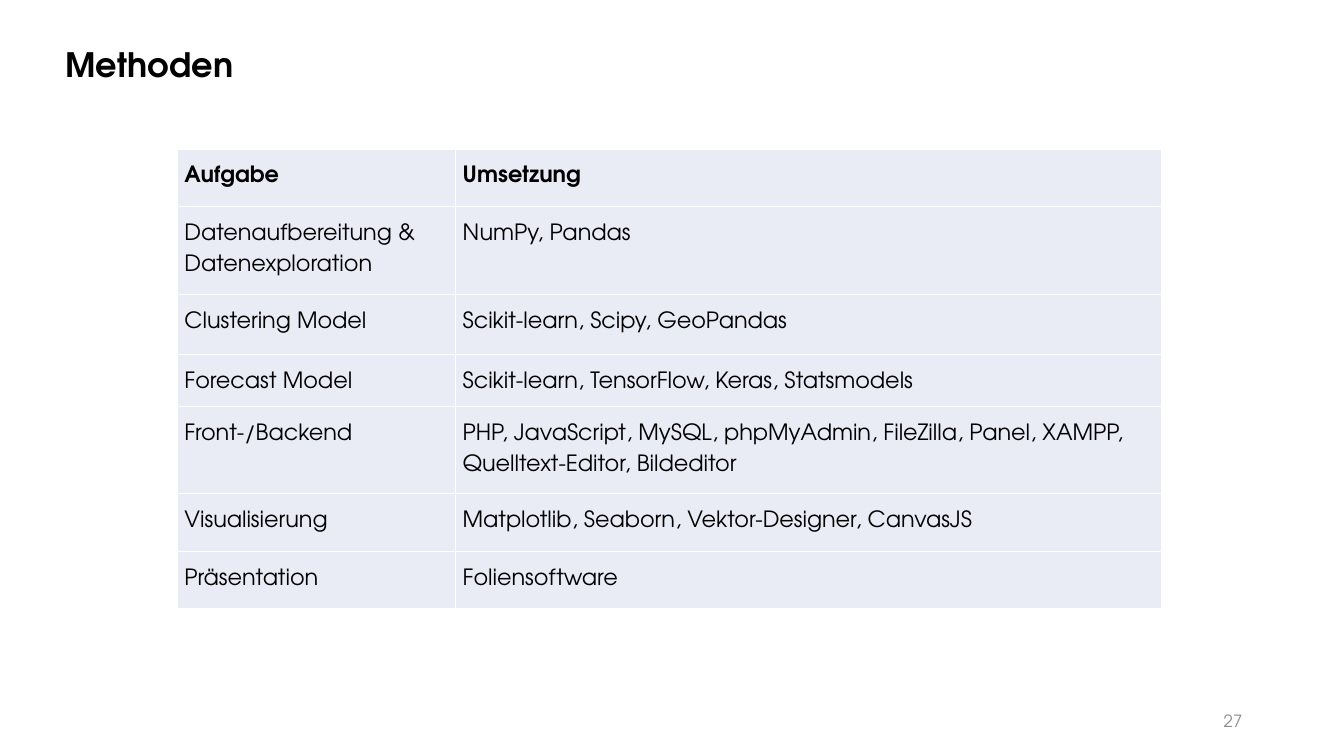
from dataclasses import dataclass

from lxml.etree import SubElement
from pptx import Presentation
from pptx.dml.color import RGBColor
from pptx.enum.text import MSO_ANCHOR, PP_ALIGN
from pptx.oxml.ns import qn
from pptx.slide import Slide
from pptx.table import _Cell
from pptx.text.text import TextFrame
from pptx.util import Emu, Inches, Pt

FONT_NAME = "TeX Gyre Adventor"
BLACK = RGBColor(0x00, 0x00, 0x00)
GREY = RGBColor(0x8C, 0x8C, 0x8C)
WHITE = RGBColor(0xFF, 0xFF, 0xFF)
PALE_BLUE = RGBColor(0xE9, 0xEB, 0xF5)

SLIDE_WIDTH = Inches(13.33)
SLIDE_HEIGHT = Inches(7.5)
COLUMN_WIDTHS = (Inches(2.76), Inches(7))
CELL_MARGIN = Inches(0.07)


@dataclass(frozen=True)
class TextStyle:
    """Look of a paragraph with a single run."""

    size: float
    color: RGBColor = BLACK
    bold: bool = False
    alignment: PP_ALIGN = PP_ALIGN.LEFT
    line_spacing: float = 1.0
    space_after: float = 0


@dataclass(frozen=True)
class MethodRow:
    """Task, the tools used for it, and the row height in inches."""

    task: str
    tools: str
    height: float


TITLE_STYLE = TextStyle(24, bold=True, line_spacing=0.9)
NUMBER_STYLE = TextStyle(12, GREY, alignment=PP_ALIGN.RIGHT, space_after=6)
HEADER_STYLE = TextStyle(16, bold=True, line_spacing=1.5, space_after=8)
BODY_STYLE = TextStyle(16, line_spacing=1.5, space_after=8)

METHOD_ROWS = (
    MethodRow("Aufgabe", "Umsetzung", 0.57),
    MethodRow("Datenaufbereitung & Datenexploration", "NumPy, Pandas", 0.87),
    MethodRow("Clustering Model", "Scikit-learn, Scipy, GeoPandas", 0.6),
    MethodRow("Forecast Model", "Scikit-learn, TensorFlow, Keras, Statsmodels", 0.51),
    MethodRow(
        "Front-/Backend",
        "PHP, JavaScript, MySQL, phpMyAdmin, FileZilla, Panel, XAMPP, "
        "Quelltext-Editor, Bildeditor",
        0.87,
    ),
    MethodRow("Visualisierung", "Matplotlib, Seaborn, Vektor-Designer, CanvasJS", 0.57),
    MethodRow("Präsentation", "Foliensoftware", 0.57),
)


def write_text(frame: TextFrame, text: str, style: TextStyle) -> None:
    """Write one styled run into the first paragraph of a frame."""
    frame.word_wrap = True
    paragraph = frame.paragraphs[0]
    paragraph.alignment = style.alignment
    paragraph.line_spacing = style.line_spacing
    paragraph.space_before = Pt(0)
    paragraph.space_after = Pt(style.space_after)
    run = paragraph.add_run()
    run.text = text
    run.font.name = FONT_NAME
    run.font.size = Pt(style.size)
    run.font.bold = style.bold
    run.font.color.rgb = style.color


def format_cell(cell: _Cell) -> None:
    """Give a cell its margins, white borders and pale fill."""
    cell.margin_left = cell.margin_right = CELL_MARGIN
    cell.margin_top = cell.margin_bottom = CELL_MARGIN
    cell.vertical_anchor = MSO_ANCHOR.TOP
    properties = cell._tc.get_or_add_tcPr()
    for side in ("a:lnL", "a:lnR", "a:lnT", "a:lnB"):
        border = SubElement(properties, qn(side), w=str(Pt(1)))
        border_fill = SubElement(border, qn("a:solidFill"))
        SubElement(border_fill, qn("a:srgbClr"), val=str(WHITE))
    cell.fill.solid()
    cell.fill.fore_color.rgb = PALE_BLUE


def add_title(slide: Slide) -> None:
    """Place and fill the title placeholder."""
    title = slide.shapes.title
    title.left, title.top = Inches(0.55), Inches(0.31)
    title.width, title.height = Inches(2.04), Inches(0.58)
    title.text_frame.vertical_anchor = MSO_ANCHOR.BOTTOM
    write_text(title.text_frame, "Methoden", TITLE_STYLE)


def add_method_table(slide: Slide) -> None:
    """Draw the table of tasks and tools."""
    table_height = Inches(sum(row.height for row in METHOD_ROWS))
    table = slide.shapes.add_table(
        len(METHOD_ROWS), len(COLUMN_WIDTHS),
        Inches(1.76), Inches(1.48), Emu(sum(COLUMN_WIDTHS)), table_height,
    ).table
    table.first_row = False
    table.horz_banding = False
    for column, width in zip(table.columns, COLUMN_WIDTHS):
        column.width = width
    for index, method in enumerate(METHOD_ROWS):
        table.rows[index].height = Inches(method.height)
        style = BODY_STYLE if index else HEADER_STYLE
        for cell, text in zip(table.rows[index].cells, (method.task, method.tools)):
            format_cell(cell)
            write_text(cell.text_frame, text, style)


def add_slide_number(slide: Slide) -> None:
    """Write the slide number at the bottom right."""
    box = slide.shapes.add_textbox(Inches(12.02), Inches(6.95), Inches(0.4), Inches(0.4))
    frame = box.text_frame
    frame.margin_left = 0
    frame.vertical_anchor = MSO_ANCHOR.MIDDLE
    write_text(frame, "27", NUMBER_STYLE)


def main() -> None:
    """Build and save the presentation."""
    presentation = Presentation()
    presentation.slide_width = SLIDE_WIDTH
    presentation.slide_height = SLIDE_HEIGHT
    slide = presentation.slides.add_slide(presentation.slide_layouts[5])
    add_title(slide)
    add_method_table(slide)
    add_slide_number(slide)
    presentation.save("out.pptx")


if __name__ == "__main__":
    main()
